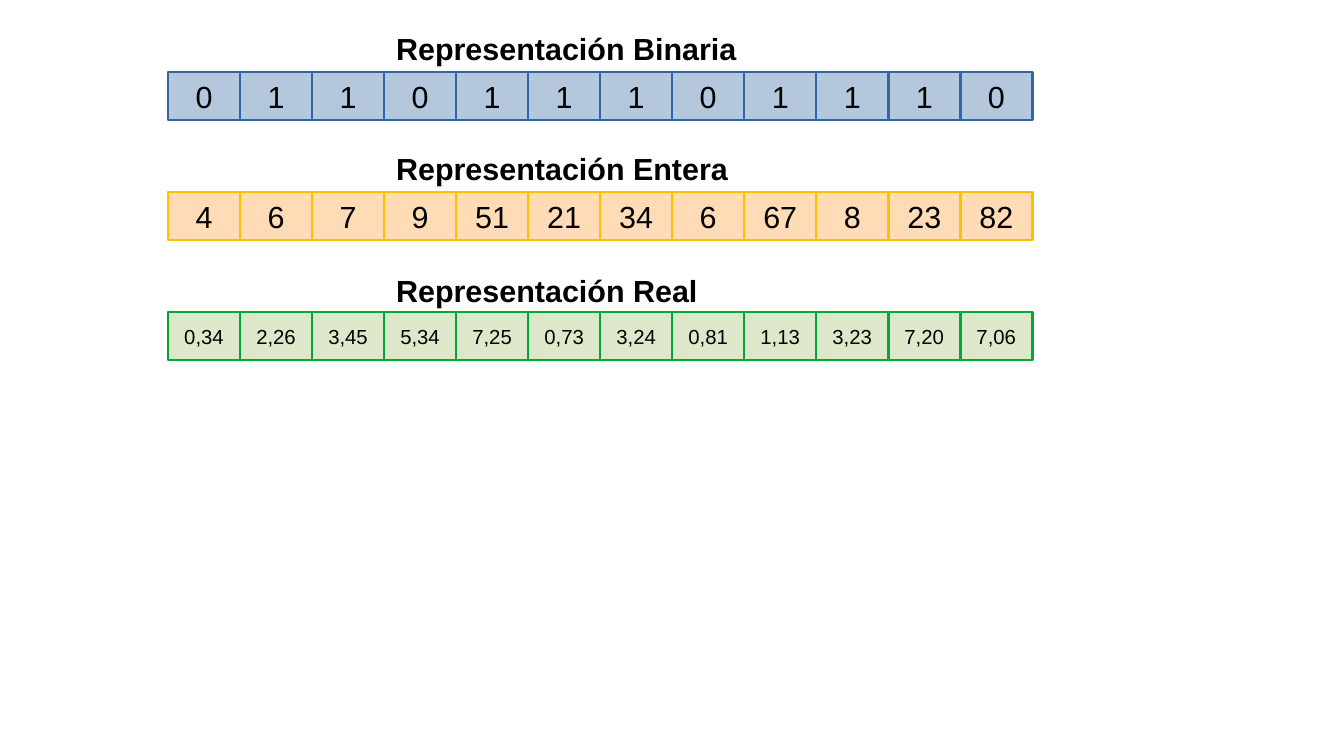
from pptx import Presentation
from pptx.dml.color import RGBColor
from pptx.enum.shapes import MSO_SHAPE
from pptx.enum.text import MSO_ANCHOR, PP_ALIGN
from pptx.util import Pt

RECTANGLE = MSO_SHAPE.RECTANGLE
MIDDLE = MSO_ANCHOR.MIDDLE
CENTER = PP_ALIGN.CENTER
LEFT = PP_ALIGN.LEFT

FONT = "Arial"
COLORS = {
    "text": "000000",
    "binary_fill": "B4C7DC",
    "binary_line": "3465A4",
    "integer_fill": "FFDBB6",
    "integer_line": "FFBF00",
    "real_fill": "DDE8CB",
    "real_line": "00A933",
}
SLIDE_WIDTH, SLIDE_HEIGHT = 793.44, 446.4
ROW_LEFT, ROW_WIDTH = 99.21, 510.24
ROW_BOTTOM, ROW_PITCH = 70.87, 70.87
CELL_HEIGHT = 28.35
TITLE_HEIGHT = 27.36

ROWS = [
    ("Representación Binaria", "binary", 14.2, 18,
     ["0", "1", "1", "0", "1", "1", "1", "0", "1", "1", "1", "0"]),
    ("Representación Entera", "integer", 85.1, 18,
     ["4", "6", "7", "9", "51", "21", "34", "6", "67", "8", "23", "82"]),
    ("Representación Real", "real", 157, 12,
     ["0,34", "2,26", "3,45", "5,34", "7,25", "0,73",
      "3,24", "0,81", "1,13", "3,23", "7,20", "7,06"]),
]


def color(name):
    """Return the named palette colour."""
    return RGBColor.from_string(COLORS[name])


def write_text(shape, text, size, alignment, bold=False):
    """Write one styled paragraph into a shape."""
    paragraph = shape.text_frame.paragraphs[0]
    paragraph.text = text
    paragraph.alignment = alignment
    paragraph.font.name = FONT
    paragraph.font.size = Pt(size)
    paragraph.font.bold = bold
    paragraph.font.color.rgb = color("text")


def add_cell(slide, box, text, size, theme):
    """Add one gene cell with its value."""
    shape = slide.shapes.add_shape(RECTANGLE, *map(Pt, box))
    shape.shadow.inherit = False
    shape.fill.solid()
    shape.fill.fore_color.rgb = color(f"{theme}_fill")
    shape.line.color.rgb = color(f"{theme}_line")
    shape.line.width = Pt(1.5)
    frame = shape.text_frame
    frame.vertical_anchor = MIDDLE
    frame.margin_left = frame.margin_right = Pt(7.9)
    frame.margin_top = frame.margin_bottom = Pt(4.3)
    frame.word_wrap = False
    write_text(shape, text, size, CENTER)


def add_representation(slide, box, title, theme, size, values):
    """Place a title at the top of the box and a row of cells at its bottom."""
    left, top, width, height = box
    cell_width = width / len(values)
    cell_top = top + height - CELL_HEIGHT
    for index, value in enumerate(values):
        cell_box = (left + index * cell_width, cell_top, cell_width, CELL_HEIGHT)
        add_cell(slide, cell_box, value, size, theme)
    title_box = (left + 3 * cell_width, top, width * 4 / 9, TITLE_HEIGHT)
    text_box = slide.shapes.add_textbox(*map(Pt, title_box))
    text_box.text_frame.word_wrap = True
    write_text(text_box, title, 18, LEFT, bold=True)


def main():
    """Build the slide and save it."""
    presentation = Presentation()
    presentation.slide_width = Pt(SLIDE_WIDTH)
    presentation.slide_height = Pt(SLIDE_HEIGHT)
    slide = presentation.slides.add_slide(presentation.slide_layouts[6])
    for index, (title, theme, top, size, values) in enumerate(ROWS):
        bottom = ROW_BOTTOM + index * ROW_PITCH
        box = (ROW_LEFT, top, ROW_WIDTH, bottom - top)
        add_representation(slide, box, title, theme, size, values)
    presentation.save("out.pptx")


if __name__ == "__main__":
    main()
